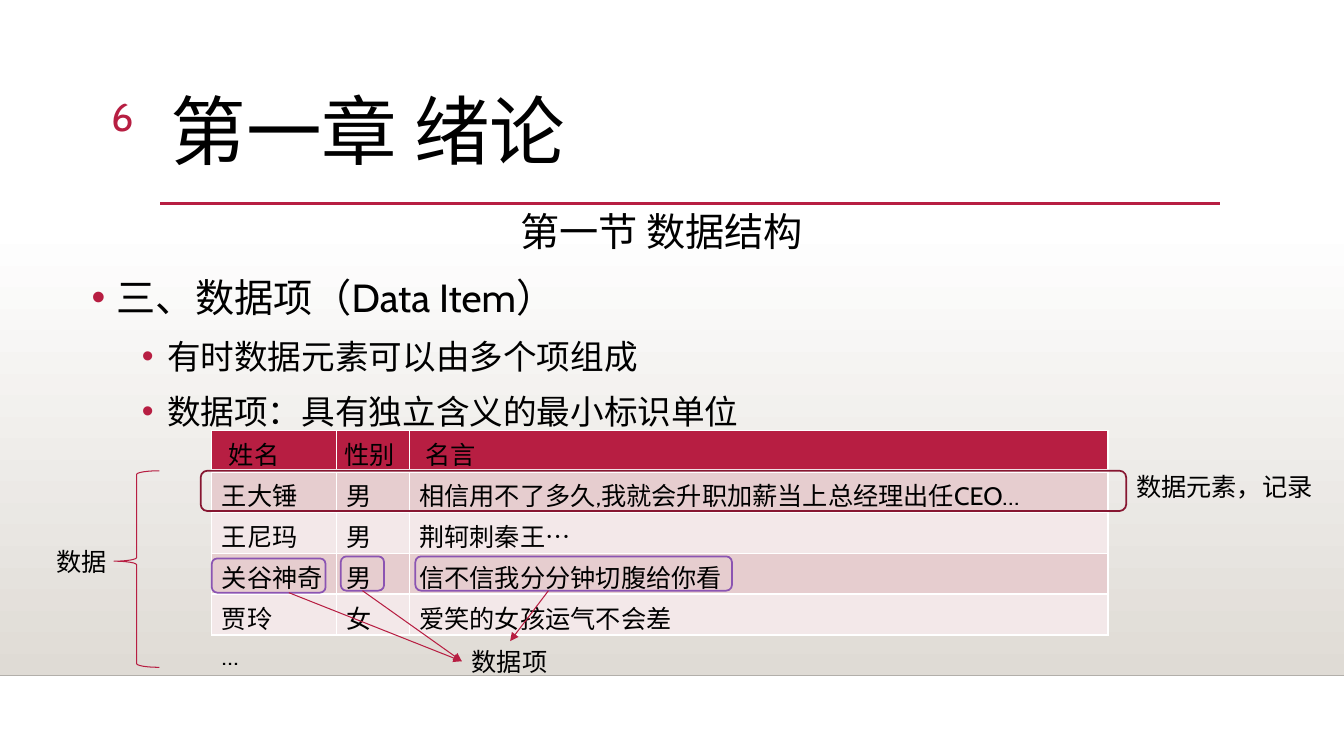
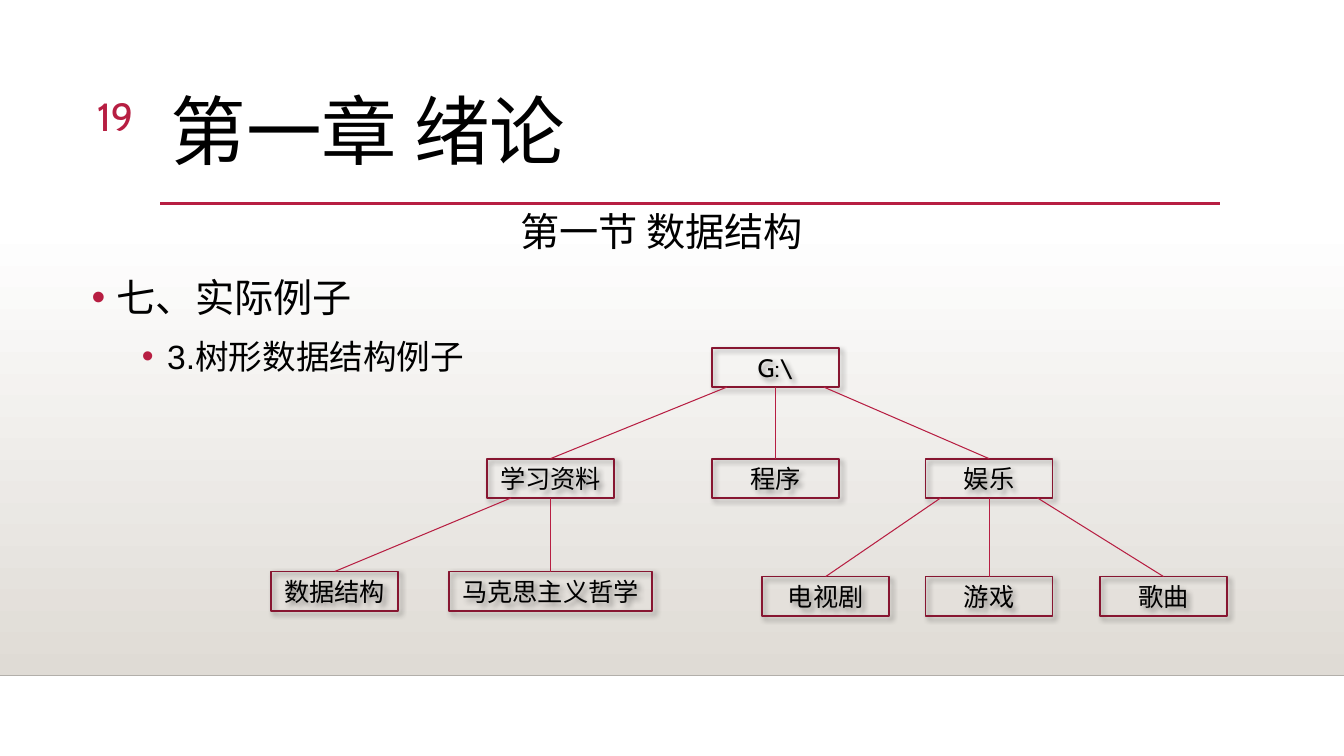
import dataclasses

import lxml.etree
import pptx
import pptx.dml.color
import pptx.enum.dml
import pptx.enum.lang
import pptx.enum.shapes
import pptx.enum.text
import pptx.oxml.ns
import pptx.util

Inches = pptx.util.Inches
Pt = pptx.util.Pt
SHAPE = pptx.enum.shapes.MSO_SHAPE
ALIGN = pptx.enum.text.PP_ALIGN
ANCHOR = pptx.enum.text.MSO_ANCHOR
FIT = pptx.enum.text.MSO_AUTO_SIZE


@dataclasses.dataclass(frozen=True)
class Theme:
    font: str = "Cabin"
    number_font: str = "Arial"
    ink: str = "000000"
    paper: str = "FFFFFF"
    ground: str = "DFDBD5"
    edge: str = "B2AFAA"
    accent: str = "B71E42"
    frame: str = "871631"
    item: str = "8B54B2"
    stripes: tuple = ("E6CDCF", "F3E8E9")
    title: int = 54
    heading: int = 28
    point: int = 24
    label: int = 18


def rgb(value):
    return pptx.dml.color.RGBColor.from_string(value)


def add_xml(parent, tag, **attributes):
    return lxml.etree.SubElement(parent, pptx.oxml.ns.qn(tag), attributes)


class Deck:
    """Holds the style and the current slide, and draws each kind of element."""

    def __init__(self, theme):
        self.theme = theme
        self.presentation = pptx.Presentation()
        self.presentation.slide_width = Inches(13.33)
        self.presentation.slide_height = Inches(7.5)
        self.slide = None

    def start(self, number):
        theme = self.theme
        self.slide = self.presentation.slides.add_slide(self.presentation.slide_layouts[5])
        ground = self.shape(SHAPE.RECTANGLE, (0, 2.21, 13.33, 4.49))
        ground.line.fill.background()
        ground.fill.gradient()
        ground.fill.gradient_angle = 270
        for stop, color in zip(ground.fill.gradient_stops, (theme.paper, theme.ground)):
            stop.color.rgb = rgb(color)
        self.line((0, 6.7), (13.33, 6.7), theme.edge, 1)
        self.line((1.59, 2.02), (12.1, 2.02), theme.accent, 2.5)
        self.title("第一章 绪论")
        self.text("第一节 数据结构", (5.06, 2.01, 3.56, 0.57), theme.heading, wrap=True)
        self.text(number, (0.53, 0.87, 0.89, 0.55), theme.heading, theme.accent,
                  ALIGN.RIGHT, wrap=True)

    def style_run(self, paragraph, text, size, color=None, font=None):
        run = paragraph.add_run()
        run.text = text
        formats = {
            "name": font or self.theme.font,
            "size": Pt(size),
            "bold": False,
            "language_id": pptx.enum.lang.MSO_LANGUAGE_ID.SIMPLIFIED_CHINESE,
        }
        for key, value in formats.items():
            setattr(run.font, key, value)
        run.font.color.rgb = rgb(color or self.theme.ink)

    def title(self, text):
        title = self.slide.shapes.title
        place = {"left": 1.59, "top": 0.88, "width": 10.5, "height": 1.15}
        for key, value in place.items():
            setattr(title, key, Inches(value))
        title.text_frame.auto_size = FIT.NONE
        title.text_frame.vertical_anchor = ANCHOR.TOP
        paragraph = title.text_frame.paragraphs[0]
        paragraph.alignment = ALIGN.LEFT
        paragraph.line_spacing = 0.9
        self.style_run(paragraph, text, self.theme.title)

    def text(self, text, place, size=None, color=None, align=ALIGN.LEFT, wrap=False):
        box = self.slide.shapes.add_textbox(*map(Inches, place))
        box.text_frame.word_wrap = wrap
        box.text_frame.auto_size = FIT.SHAPE_TO_FIT_TEXT
        paragraph = box.text_frame.paragraphs[0]
        paragraph.alignment = align
        self.style_run(paragraph, text, size or self.theme.label, color)
        return box

    def outline(self, points):
        theme = self.theme
        frame = self.slide.shapes.add_textbox(*map(Inches, (0.81, 2.57, 11.46, 2.26))).text_frame
        frame.word_wrap = True
        for index, (level, runs) in enumerate(points):
            paragraph = frame.add_paragraph() if index else frame.paragraphs[0]
            paragraph.level = level
            paragraph.line_spacing = 1.2
            paragraph.space_before = Pt(5 if index else 0)
            properties = paragraph._p.get_or_add_pPr()
            properties.set("marL", str(Inches(0.25 + 0.5 * level)))
            properties.set("indent", str(Inches(-0.25)))
            add_xml(add_xml(properties, "a:buClr"), "a:srgbClr", val=theme.accent)
            add_xml(properties, "a:buFont", typeface=theme.number_font)
            add_xml(properties, "a:buChar", char="•")
            for text, font in runs:
                self.style_run(paragraph, text, theme.point if level else theme.heading, font=font)

    def shape(self, kind, place, color=None, width=1.25):
        shape = self.slide.shapes.add_shape(kind, *map(Inches, place))
        shape.shadow.inherit = False
        shape.fill.background()
        if color:
            shape.line.color.rgb = rgb(color)
            shape.line.width = Pt(width)
        return shape

    def node(self, text, center, top, width):
        box = self.shape(SHAPE.RECTANGLE, (center - width / 2, top, width, 0.39), self.theme.frame)
        effects = box._element.spPr.find(pptx.oxml.ns.qn("a:effectLst"))
        shadow = add_xml(effects, "a:outerShdw", blurRad=str(Pt(4)), dist=str(Pt(3)),
                         dir="2700000", algn="tl", rotWithShape="0")
        add_xml(add_xml(shadow, "a:srgbClr", val=self.theme.ink), "a:alpha", val="40000")
        box.text_frame.word_wrap = True
        box.text_frame.vertical_anchor = ANCHOR.MIDDLE
        paragraph = box.text_frame.paragraphs[0]
        paragraph.alignment = ALIGN.CENTER
        self.style_run(paragraph, text, self.theme.label)
        return box

    def line(self, start, end, color, width, arrow=False):
        line = self.slide.shapes.add_connector(
            pptx.enum.shapes.MSO_CONNECTOR.STRAIGHT, *map(Inches, start + end))
        line.line.color.rgb = rgb(color)
        line.line.width = Pt(width)
        if arrow:
            add_xml(line.line._get_or_add_ln(), "a:tailEnd", type="triangle")
        add_xml(line._element.spPr, "a:effectLst")
        return line

    def link(self, source, target, shift=0, side=0, arrow=False):
        start = ((source.left + source.width / 2) / Inches(1) + shift,
                 (source.top + source.height) / Inches(1))
        link = self.line(start, start, self.theme.accent, 0.75, arrow)
        if not shift:
            link.begin_connect(source, 2)
        link.end_connect(target, side)

    def border(self, cell, bottom):
        properties = cell._tc.get_or_add_tcPr()
        widths = {"a:lnL": 1, "a:lnR": 1, "a:lnT": 1, "a:lnB": bottom}
        for index, (tag, width) in enumerate(widths.items()):
            edge = lxml.etree.Element(pptx.oxml.ns.qn(tag), w=str(Pt(width)))
            add_xml(add_xml(edge, "a:solidFill"), "a:srgbClr", val=self.theme.paper)
            properties.insert(index, edge)

    def table(self, rows, place, widths, header_margins):
        table = self.slide.shapes.add_table(
            len(rows), len(widths), *map(Inches, place)).table
        for column, width in zip(table.columns, widths):
            column.width = Inches(width)
        for r, row in enumerate(rows):
            table.rows[r].height = Inches(place[3] / len(rows))
            for c, text in enumerate(row):
                cell = table.cell(r, c)
                cell.fill.solid()
                cell.fill.fore_color.rgb = rgb(
                    self.theme.stripes[(r - 1) % 2] if r else self.theme.accent)
                if not r:
                    cell.margin_left = Inches(header_margins[c])
                self.border(cell, 1 if r else 3)
                self.style_run(cell.text_frame.paragraphs[0], text, self.theme.label)


def data_items(deck):
    theme = deck.theme
    deck.start("6")
    deck.outline([
        (0, [("三、数据项（Data Item）", None)]),
        (1, [("有时数据元素可以由多个项组成", None)]),
        (1, [("数据项：具有独立含义的最小标识单位", None)]),
    ])
    deck.table([
        ("姓名", "性别", "名言"),
        ("王大锤", "男", "相信用不了多久,我就会升职加薪当上总经理出任CEO…"),
        ("王尼玛", "男", "荆轲刺秦王…"),
        ("关谷神奇", "男", "信不信我分分钟切腹给你看"),
        ("贾玲", "女", "爱笑的女孩运气不会差"),
    ], (2.1, 4.27, 8.89, 2.03), (1.24, 0.72, 6.93), (0.17, 0.08, 0.16))
    deck.text("…", (2.1, 6.3, 0.45, 0.4))
    brace = deck.shape(SHAPE.RIGHT_BRACE, (1.13, 4.67, 0.45, 1.95), theme.accent, 0.75)
    brace.rotation = 180
    brace.adjustments[0] = 0.08
    brace.adjustments[1] = 0.54
    deck.text("数据", (0.46, 5.37, 0.71, 0.4))
    deck.shape(SHAPE.ROUNDED_RECTANGLE, (1.99, 4.67, 9.18, 0.4), theme.frame)
    deck.text("数据元素，记录", (11.17, 4.63, 1.97, 0.4))
    item_label = deck.text("数据项", (4.58, 6.36, 0.96, 0.4))
    for left, top, width, shift, side in (
            (2.1, 5.54, 1.13, 0.2, 1), (3.38, 5.52, 0.43, 0, 1), (4.12, 5.52, 3.14, -0.25, 0)):
        item = deck.shape(SHAPE.ROUNDED_RECTANGLE, (left, top, width, 0.34), theme.item)
        deck.link(item, item_label, shift, side, arrow=True)


def folder_tree(deck):
    deck.start("19")
    deck.outline([
        (0, [("七、实际例子", None)]),
        (1, [("3.", deck.theme.number_font), ("树形数据结构例子", None)]),
    ])
    folders = (
        ("G:\\", None, 7.69, 3.45, 1.26, 0),
        ("学习资料", "G:\\", 5.46, 4.55, 1.26, -0.48),
        ("程序", "G:\\", 7.69, 4.55, 1.26, 0),
        ("娱乐", "G:\\", 9.81, 4.55, 1.26, 0.48),
        ("数据结构", "学习资料", 3.32, 5.67, 1.26, -0.39),
        ("马克思主义哲学", "学习资料", 5.46, 5.67, 2.02, 0),
        ("电视剧", "娱乐", 8.19, 5.72, 1.26, -0.48),
        ("游戏", "娱乐", 9.81, 5.72, 1.26, 0),
        ("歌曲", "娱乐", 11.54, 5.72, 1.26, 0.48),
    )
    drawn = {}
    for name, parent, center, top, width, shift in folders:
        drawn[name] = deck.node(name, center, top, width)
        if parent:
            deck.link(drawn[parent], drawn[name], shift)


def main():
    deck = Deck(Theme())
    data_items(deck)
    folder_tree(deck)
    deck.presentation.save("out.pptx")


if __name__ == "__main__":
    main()
